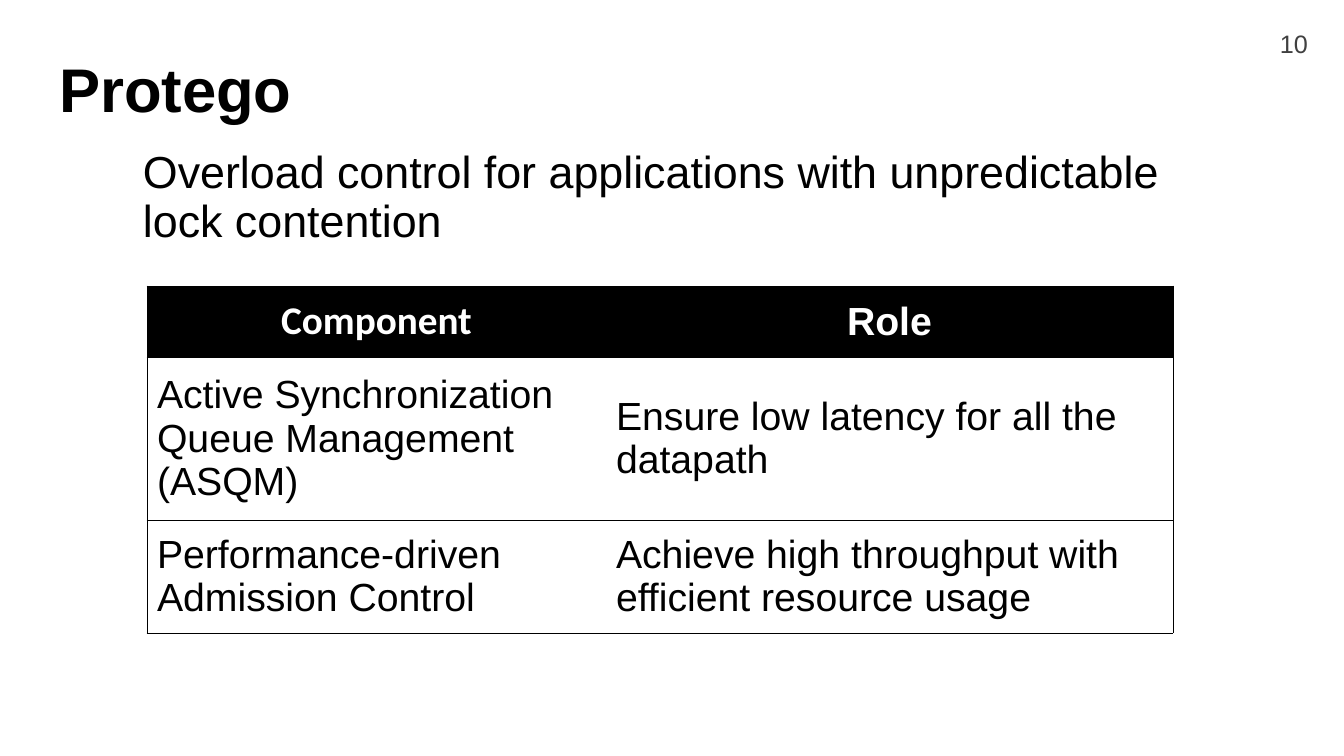
from pptx import Presentation
from pptx.dml.color import RGBColor
from pptx.enum.text import MSO_ANCHOR, MSO_AUTO_SIZE, PP_ALIGN
from pptx.oxml import parse_xml
from pptx.oxml.ns import nsdecls
from pptx.util import Pt

MIDDLE, TOP = MSO_ANCHOR.MIDDLE, MSO_ANCHOR.TOP
LEFT, CENTER = PP_ALIGN.LEFT, PP_ALIGN.CENTER
NO_AUTOFIT = MSO_AUTO_SIZE.NONE
TITLE_ONLY = 5
THEME = {
    "font": "Arial", "header_font": "Calibri",
    "black": "000000", "white": "FFFFFF", "gray": "404040",
    "title": 44, "body": 32, "table": 28, "number": 18,
}


def px(n):
    return round(n * 914400 / 100.8)


def write(tf, text, size, color="black", font="font", bold=False, align=LEFT):
    tf.text = text
    p = tf.paragraphs[0]
    p.alignment = align
    p.font.name = THEME[font]
    p.font.size = Pt(THEME[size])
    p.font.bold = bold
    p.font.color.rgb = RGBColor.from_string(THEME[color])
    return p


prs = Presentation()
prs.slide_width, prs.slide_height = px(1344), px(756)
s = prs.slides.add_slide(prs.slide_layouts[TITLE_ONLY])

title = s.shapes.title
title.left, title.top, title.width, title.height = px(49), px(40), px(1159), px(105)
tf = title.text_frame
tf.auto_size = NO_AUTOFIT
tf.vertical_anchor = MIDDLE
write(tf, "Protego", "title", bold=True).line_spacing = 0.9

summary = s.shapes.add_textbox(px(133), px(145), px(1119), px(535))
tf = summary.text_frame
tf.word_wrap = True
tf.vertical_anchor = TOP
p = write(tf, "Overload control for applications with unpredictable lock contention", "body")
p.line_spacing = 0.9
p.space_before = Pt(10)

# Component table: outer frame and row rules, no line between the columns
rows = [
    ("Component", "Role"),
    ("Active Synchronization Queue Management (ASQM)", "Ensure low latency for all the datapath"),
    ("Performance-driven Admission Control", "Achieve high throughput with efficient resource usage"),
]
col_widths = [459, 567]
row_heights = [71, 163, 113]
table = s.shapes.add_table(len(rows), len(col_widths), px(147), px(286),
                           px(sum(col_widths)), px(sum(row_heights))).table
table.horz_banding = False
for col, width in zip(table.columns, col_widths):
    col.width = px(width)
for row, height in zip(table.rows, row_heights):
    row.height = px(height)

for i, texts in enumerate(rows):
    for j, text in enumerate(texts):
        cell = table.cell(i, j)
        cell.vertical_anchor = MIDDLE
        if i == 0:
            font = "header_font" if j == 0 else "font"
            write(cell.text_frame, text, "table", "white", font, True, CENTER)
        else:
            write(cell.text_frame, text, "table")

        ruled = {"lnL": j == 0, "lnR": j == 1, "lnT": True, "lnB": True}
        for side, visible in ruled.items():
            paint = (f'<a:solidFill><a:srgbClr val="{THEME["black"]}"/></a:solidFill>'
                     if visible else "<a:noFill/>")
            cell._tc.get_or_add_tcPr().append(parse_xml(
                f'<a:{side} {nsdecls("a")} w="{Pt(0.5)}">{paint}</a:{side}>'))

        if i == 0:
            cell.fill.solid()
            cell.fill.fore_color.rgb = RGBColor.from_string(THEME["black"])
        else:
            cell.fill.background()

number = s.shapes.add_textbox(px(1270), px(23), px(48), px(40))
number.text_frame.word_wrap = False
write(number.text_frame, "10", "number", "gray")

prs.save("out.pptx")
